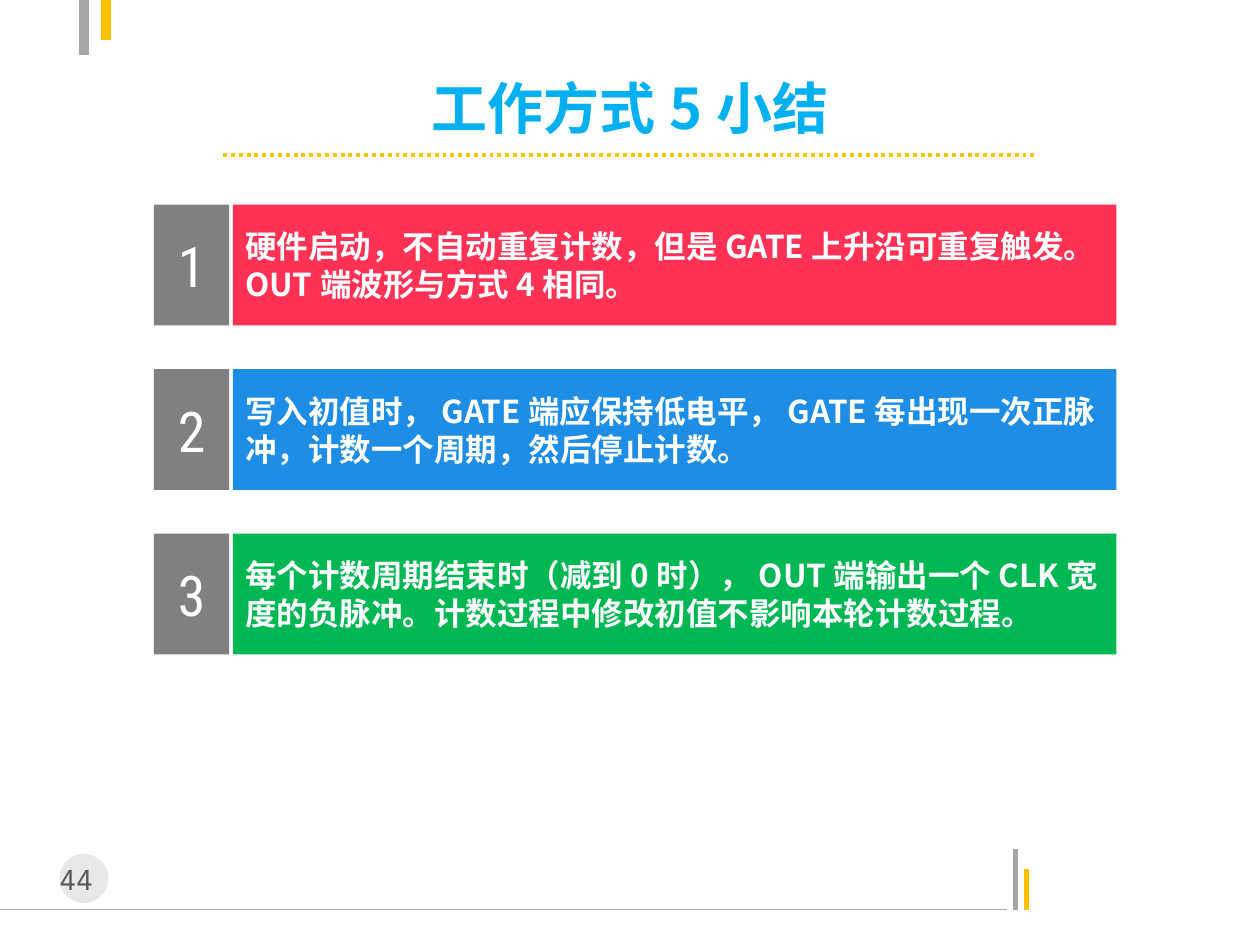
from lxml.etree import SubElement
from pptx import Presentation
from pptx.dml.color import RGBColor
from pptx.enum.dml import MSO_LINE
from pptx.enum.shapes import MSO_CONNECTOR, MSO_SHAPE
from pptx.enum.text import MSO_ANCHOR, PP_ALIGN
from pptx.oxml.ns import qn
from pptx.util import Pt

# Colours
WHITE = RGBColor(0xFF, 0xFF, 0xFF)
SKY = RGBColor(0x00, 0xB0, 0xF0)
GOLD = RGBColor(0xFF, 0xC0, 0x00)
RED = RGBColor(0xFF, 0x32, 0x55)
BLUE = RGBColor(0x1D, 0x8D, 0xE5)
GREEN = RGBColor(0x00, 0xB8, 0x53)
GREY = RGBColor(0x80, 0x80, 0x80)
LINE_GREY = RGBColor(0xA6, 0xA6, 0xA6)
PALE_GREY = RGBColor(0xBF, 0xBF, 0xBF)
DARK_GREY = RGBColor(0x59, 0x59, 0x59)

# Content
TITLE = "工作方式5小结"
PAGE_NUMBER = "44"
POINTS = [
    ("硬件启动，不自动重复计数，但是GATE上升沿可重复触发。 OUT端波形与方式4相同。", RED),
    ("写入初值时，GATE端应保持低电平，GATE每出现一次正脉冲，计数一个周期，然后停止计数。", BLUE),
    ("每个计数周期结束时（减到0时），OUT端输出一个CLK宽度的负脉冲。"
     "计数过程中修改初值不影响本轮计数过程。", GREEN),
]

# Formats
TITLE_FONT = {"name": "Noto Sans CJK SC", "size": Pt(32), "bold": True}
POINT_FONT = {"name": "Noto Sans CJK SC", "size": Pt(18), "bold": True}
NUMBER_FONT = {"name": "Roboto Condensed", "size": Pt(32), "bold": False}
PAGE_FONT = {"name": "Noto Sans Mono", "size": Pt(16), "bold": False}

# Layout in points: x1, y1, x2, y2, colour, width
DECOR_LINES = [
    (0, 519.84, 575.28, 519.84, LINE_GREY, 0.75),
    (580.3, 519.84, 580.3, 485.3, LINE_GREY, 3),
    (586.8, 519.84, 586.8, 496.8, GOLD, 3),
    (48, 31.7, 48, -2, LINE_GREY, 6),
    (60.5, 0, 60.5, 22.6, GOLD, 6),
]
TITLE_RULE = (127.5, 88.5, 592.5, 88.5, GOLD, 2.25)
FIRST_TOP, ROW_PITCH, ROW_HEIGHT = 117, 94, 69
NUMBER_LEFT, NUMBER_WIDTH = 88, 43
POINT_LEFT, POINT_WIDTH = 133, 505


def write(shape, text, font, colour, alignment=PP_ALIGN.LEFT, wrap=True):
    frame = shape.text_frame
    frame.word_wrap = wrap
    frame.vertical_anchor = MSO_ANCHOR.MIDDLE
    paragraph = frame.paragraphs[0]
    paragraph.alignment = alignment
    run = paragraph.add_run()
    run.text = text
    for attribute, value in font.items():
        setattr(run.font, attribute, value)
    run.font.color.rgb = colour
    # Chinese characters take the East Asian typeface
    latin = run.font._element.find(qn("a:latin"))
    east_asian = latin.makeelement(qn("a:ea"), {"typeface": font["name"]})
    latin.addnext(east_asian)


def add_line(slide, x1, y1, x2, y2, colour, width):
    connector = slide.shapes.add_connector(
        MSO_CONNECTOR.STRAIGHT, Pt(x1), Pt(y1), Pt(x2), Pt(y2))
    connector.line.color.rgb = colour
    connector.line.width = Pt(width)
    SubElement(connector._element.spPr, qn("a:effectLst"))
    return connector


def add_block(slide, kind, left, top, width, height, colour):
    shape = slide.shapes.add_shape(kind, Pt(left), Pt(top), Pt(width), Pt(height))
    shape.shadow.inherit = False
    shape.fill.solid()
    shape.fill.fore_color.rgb = colour
    shape.line.fill.background()
    return shape


def main():
    presentation = Presentation()
    presentation.slide_width, presentation.slide_height = Pt(720), Pt(540)
    slide = presentation.slides.add_slide(presentation.slide_layouts[5])

    # Frame lines and page number
    for line in DECOR_LINES:
        add_line(slide, *line)
    circle = add_block(slide, MSO_SHAPE.OVAL, 34, 488, 28, 28, PALE_GREY)
    colour = circle.fill._xPr.find(qn("a:solidFill"))[0]
    SubElement(colour, qn("a:alpha"), val="35000")
    page = slide.shapes.add_textbox(Pt(22), Pt(489), Pt(43), Pt(27))
    write(page, PAGE_NUMBER, PAGE_FONT, DARK_GREY, PP_ALIGN.CENTER, wrap=False)

    # Title and dotted rule
    title = slide.shapes.title
    title.left, title.top, title.width, title.height = Pt(99), Pt(43), Pt(522), Pt(36)
    write(title, TITLE, TITLE_FONT, SKY, PP_ALIGN.CENTER, wrap=False)
    add_line(slide, *TITLE_RULE).line.dash_style = MSO_LINE.ROUND_DOT

    # Numbered points
    for index, (text, colour) in enumerate(POINTS):
        top = FIRST_TOP + index * ROW_PITCH
        point = add_block(slide, MSO_SHAPE.RECTANGLE, POINT_LEFT, top,
                          POINT_WIDTH, ROW_HEIGHT, colour)
        write(point, text, POINT_FONT, WHITE)
        number = add_block(slide, MSO_SHAPE.RECTANGLE, NUMBER_LEFT, top,
                           NUMBER_WIDTH, ROW_HEIGHT, GREY)
        write(number, str(index + 1), NUMBER_FONT, WHITE, PP_ALIGN.CENTER)

    presentation.save("out.pptx")


if __name__ == "__main__":
    main()
